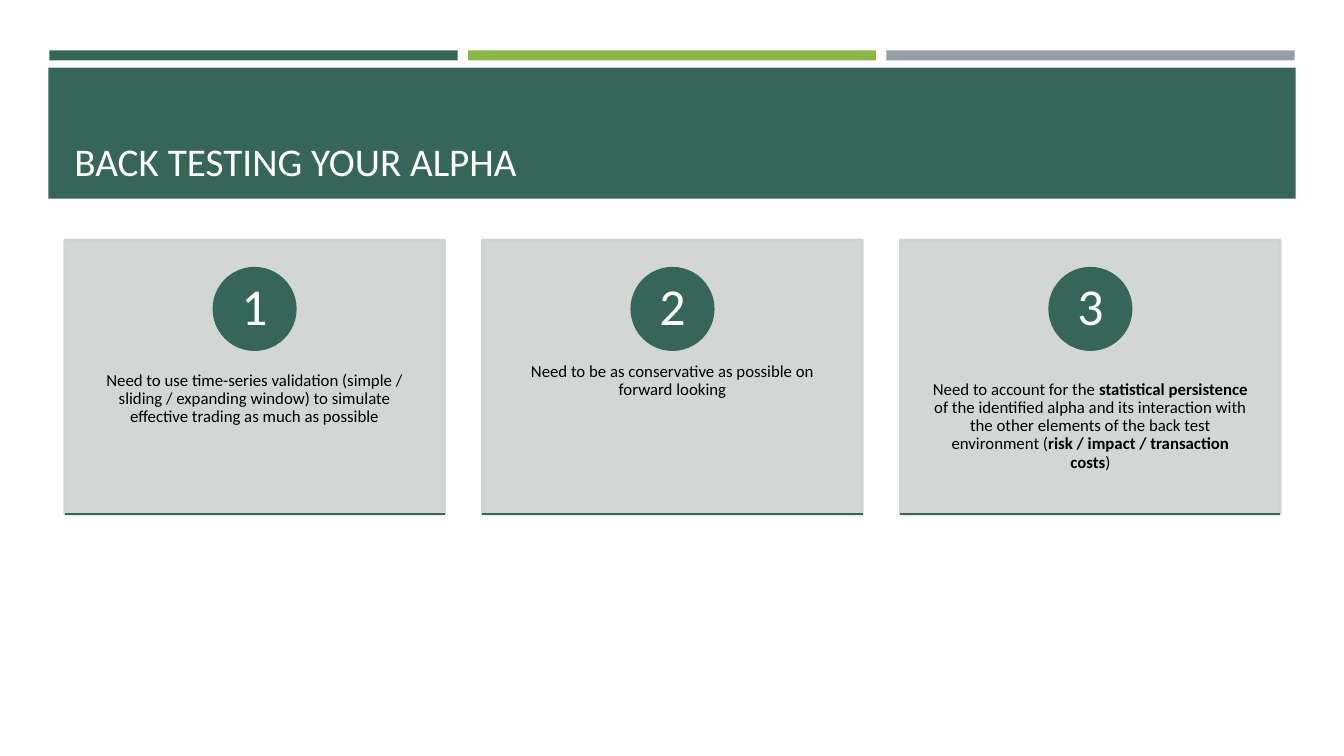
"""Build the slide on back testing an alpha, with three numbered cards."""
from lxml import etree
from pptx import Presentation
from pptx.dml.color import RGBColor
from pptx.enum.shapes import MSO_CONNECTOR, MSO_SHAPE
from pptx.enum.text import MSO_ANCHOR, PP_ALIGN
from pptx.oxml.ns import qn
from pptx.util import Inches, Pt

RECT, OVAL = MSO_SHAPE.RECTANGLE, MSO_SHAPE.OVAL
STRAIGHT = MSO_CONNECTOR.STRAIGHT
TOP, MIDDLE, BOTTOM = MSO_ANCHOR.TOP, MSO_ANCHOR.MIDDLE, MSO_ANCHOR.BOTTOM
LEFT, CENTER = PP_ALIGN.LEFT, PP_ALIGN.CENTER
GREEN, LIME, GREY, PALE = "366658", "8CB64A", "969FA7", "CED3D1"
WHITE, BLACK = "FFFFFF", "000000"


def add_box(kind, x, y, w, h, color, alpha=None, line=False):
    sp = s.shapes.add_shape(kind, Inches(x), Inches(y), Inches(w), Inches(h))
    sp.shadow.inherit = False
    sp.fill.solid()
    sp.fill.fore_color.rgb = RGBColor.from_string(color)
    if line:
        sp.line.width = Pt(1.75)
        sp.line.color.rgb = RGBColor.from_string(color)
    else:
        sp.line.fill.background()
    if alpha:
        for clr in sp._element.spPr.iter(qn("a:srgbClr")):
            etree.SubElement(clr, qn("a:alpha"), val=str(alpha * 1000))
    return sp


def write(sp, runs, size, color, anchor, align, inset_x, inset_y, spacing=1.0):
    tf = sp.text_frame
    tf.word_wrap = True
    tf.vertical_anchor = anchor
    tf.margin_left = tf.margin_right = Inches(inset_x)
    tf.margin_top = tf.margin_bottom = Inches(inset_y)
    p = tf.paragraphs[0]
    p.alignment = align
    p.line_spacing = spacing
    for text, bold in runs:
        r = p.add_run()
        r.text = text
        r.font.name = "Calibri"
        r.font.size = Pt(size)
        r.font.bold = bold
        r.font.color.rgb = RGBColor.from_string(color)


prs = Presentation()
prs.slide_width, prs.slide_height = Inches(13.33), Inches(7.5)
s = prs.slides.add_slide(prs.slide_layouts[6])

for i, color in enumerate([GREEN, LIME, GREY]):
    add_box(RECT, 0.49 + i * 4.15, 0.5, 4.05, 0.1, color)
add_box(RECT, 0.48, 0.67, 12.37, 1.3, GREEN)
title = s.shapes.add_textbox(Inches(0.64), Inches(0.77), Inches(12.06), Inches(1.11))
write(title, [("BACK TESTING YOUR ALPHA", False)], 28, WHITE, BOTTOM, LEFT, 0.1, 0.05)

cards = [
    [("Need to use time-series validation (simple / sliding / expanding window) "
      "to simulate effective trading as much as possible", False)],
    [("Need to be as conservative as possible on forward looking", False)],
    [("Need to account for the ", False),
     ("statistical persistence ", True),
     ("of the identified alpha and its interaction with the other elements "
      "of the back test environment (", False),
     ("risk / impact / transaction costs", True),
     (")", False)],
]
card_y, card_w, card_h = 2.38, 3.77, 2.72
circle_d = 0.81
for i, runs in enumerate(cards):
    x = 0.64 + i * 4.145
    bottom = card_y + card_h
    add_box(RECT, x, card_y, card_w, card_h, PALE, alpha=90, line=True)
    body = s.shapes.add_textbox(Inches(x), Inches(3.42), Inches(card_w), Inches(1.63))
    write(body, runs, 12, BLACK, TOP, CENTER, 0.29, 0.36, 0.9)
    circle = add_box(OVAL, x + (card_w - circle_d) / 2, 2.66, circle_d, circle_d, GREEN, line=True)
    write(circle, [(str(i + 1), False)], 37, WHITE, MIDDLE, CENTER, 0.06, 0.01, 0.9)
    rule = s.shapes.add_connector(STRAIGHT, Inches(x), Inches(bottom), Inches(x + card_w), Inches(bottom))
    rule.line.width = Pt(1.75)
    rule.line.color.rgb = RGBColor.from_string(GREEN)
    etree.SubElement(rule._element.spPr, qn("a:effectLst"))

prs.save("out.pptx")
